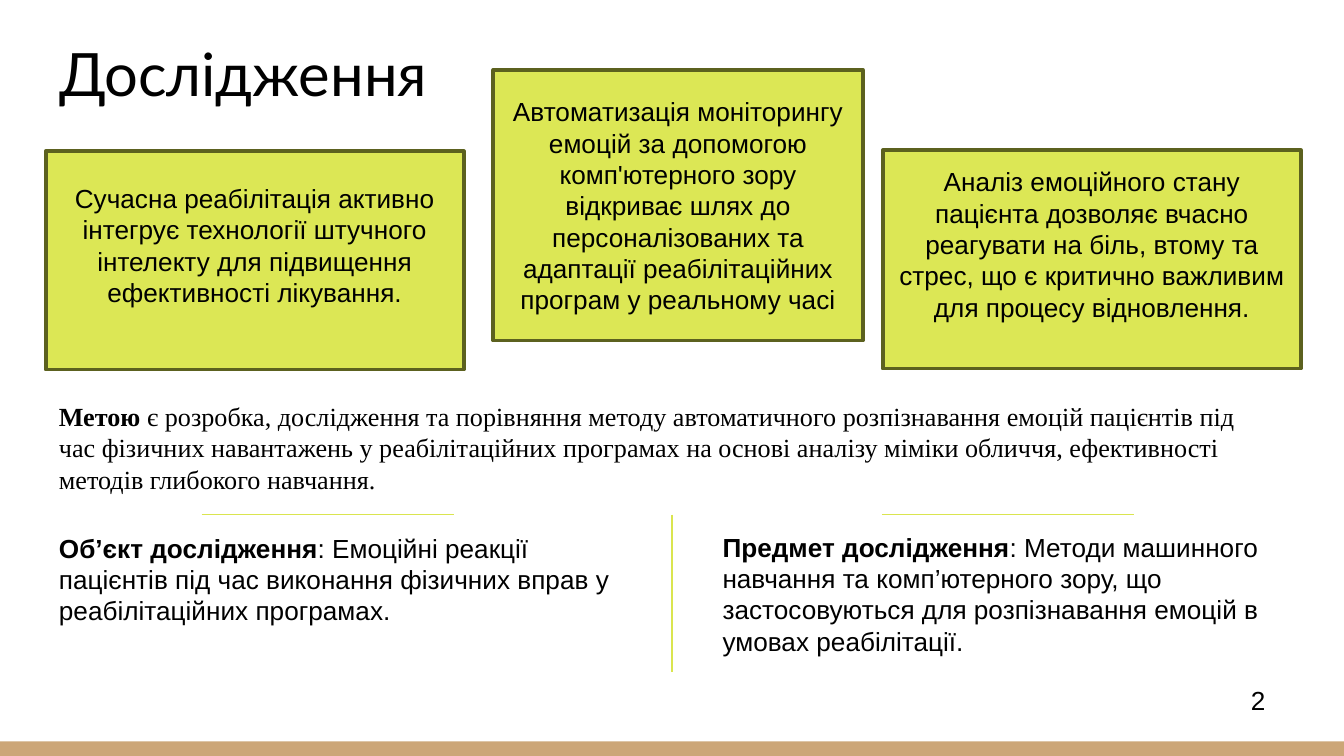
import pptx
import pptx.util
import pptx.dml.color
import pptx.enum.shapes
import pptx.enum.text
import pptx.oxml.ns
import lxml.etree

Pt = pptx.util.Pt
Align = pptx.enum.text.PP_ALIGN
Anchor = pptx.enum.text.MSO_ANCHOR
Kind = pptx.enum.shapes.MSO_SHAPE


def color(code):
    return pptx.dml.color.RGBColor.from_string(code)


def write(shape, text, lead="", size=14, font="Arial", align=Align.LEFT,
          anchor=Anchor.TOP, wrap=True, pad=3.6, base=3.6):
    frame = shape.text_frame
    frame.word_wrap = wrap
    frame.auto_size = pptx.enum.text.MSO_AUTO_SIZE.NONE
    frame.vertical_anchor = anchor
    frame.margin_left = frame.margin_right = Pt(7.2)
    frame.margin_top, frame.margin_bottom = Pt(pad), Pt(base)
    para = frame.paragraphs[0]
    para.alignment = align
    for part, bold in ((lead, True), (text, False)):
        if part:
            run = para.add_run()
            run.text = part
            run.font.size = Pt(size)
            run.font.name = font
            run.font.bold = bold
            run.font.color.rgb = color("000000")


def add_box(slide, area, fill, edge=None):
    box = slide.shapes.add_shape(Kind.RECTANGLE, *map(Pt, area))
    box.shadow.inherit = False
    box.fill.solid()
    box.fill.fore_color.rgb = color(fill)
    if edge:
        box.line.color.rgb = color(edge)
        box.line.width = Pt(2)
    else:
        box.line.fill.background()
    return box


def add_card(slide, area, text, base=3.6):
    card = add_box(slide, area, "DCE755", "5C611F")
    write(card, text, align=Align.CENTER, anchor=Anchor.MIDDLE, base=base)


def add_note(slide, area, text, **style):
    write(slide.shapes.add_textbox(*map(Pt, area)), text, **style)


def add_rule(slide, *ends):
    rule = slide.shapes.add_connector(
        pptx.enum.shapes.MSO_CONNECTOR.STRAIGHT, *map(Pt, ends))
    rule.line.color.rgb = color("DAE54F")
    rule.line.width = Pt(0.75)
    props = rule._element.spPr
    lxml.etree.SubElement(props, pptx.oxml.ns.qn("a:effectLst"))


def add_title(slide, area, text):
    title = slide.shapes.title
    title.left, title.top, title.width, title.height = map(Pt, area)
    write(title, text, size=32, font="Lato", anchor=Anchor.BOTTOM,
          pad=7.2, base=7.2)


def main():
    deck = pptx.Presentation()
    deck.slide_width, deck.slide_height = Pt(720), Pt(405)
    slide = deck.slides.add_slide(deck.slide_layouts[5])
    left = 24.5

    add_box(slide, (0, 397.2, 720, 7.8), "CCA677")
    add_title(slide, (left, 0, 671, 65.5), "Дослідження")
    add_note(slide, (663, 363, 57, 24.5), "2", wrap=False)

    add_note(slide, (left, 281.5, 328, 57.6),
             ": Емоційні реакції пацієнтів під час виконання фізичних вправ "
             "у реабілітаційних програмах.", lead="Об’єкт дослідження")
    add_note(slide, (380, 281, 319, 74.5),
             ": Методи машинного навчання та комп’ютерного зору, що "
             "застосовуються для розпізнавання емоцій в умовах реабілітації.",
             lead="Предмет дослідження")
    add_note(slide, (left, 211, 662, 57.6),
             " є розробка, дослідження та порівняння методу автоматичного "
             "розпізнавання емоцій пацієнтів під час фізичних навантажень у "
             "реабілітаційних програмах на основі аналізу міміки обличчя, "
             "ефективності методів глибокого навчання.",
             lead="Метою", font="Times New Roman")

    add_card(slide, (left, 81, 224, 117),
             "Сучасна реабілітація активно інтегрує технології штучного "
             "інтелекту для підвищення ефективності лікування.", base=20)
    add_card(slide, (473, 80.5, 224, 117),
             "Аналіз емоційного стану пацієнта дозволяє вчасно реагувати на "
             "біль, втому та стрес, що є критично важливим для процесу "
             "відновлення.", base=20)
    add_card(slide, (264.25, 37.5, 198, 145),
             "Автоматизація моніторингу емоцій за допомогою комп'ютерного "
             "зору відкриває шлях до персоналізованих та адаптації "
             "реабілітаційних програм у реальному часі")

    top = 275.75
    add_rule(slide, 360, top, 360, 360)
    for start in (108, 472.5):
        add_rule(slide, start, top, start + 135, top)

    deck.save("out.pptx")


if __name__ == "__main__":
    main()
